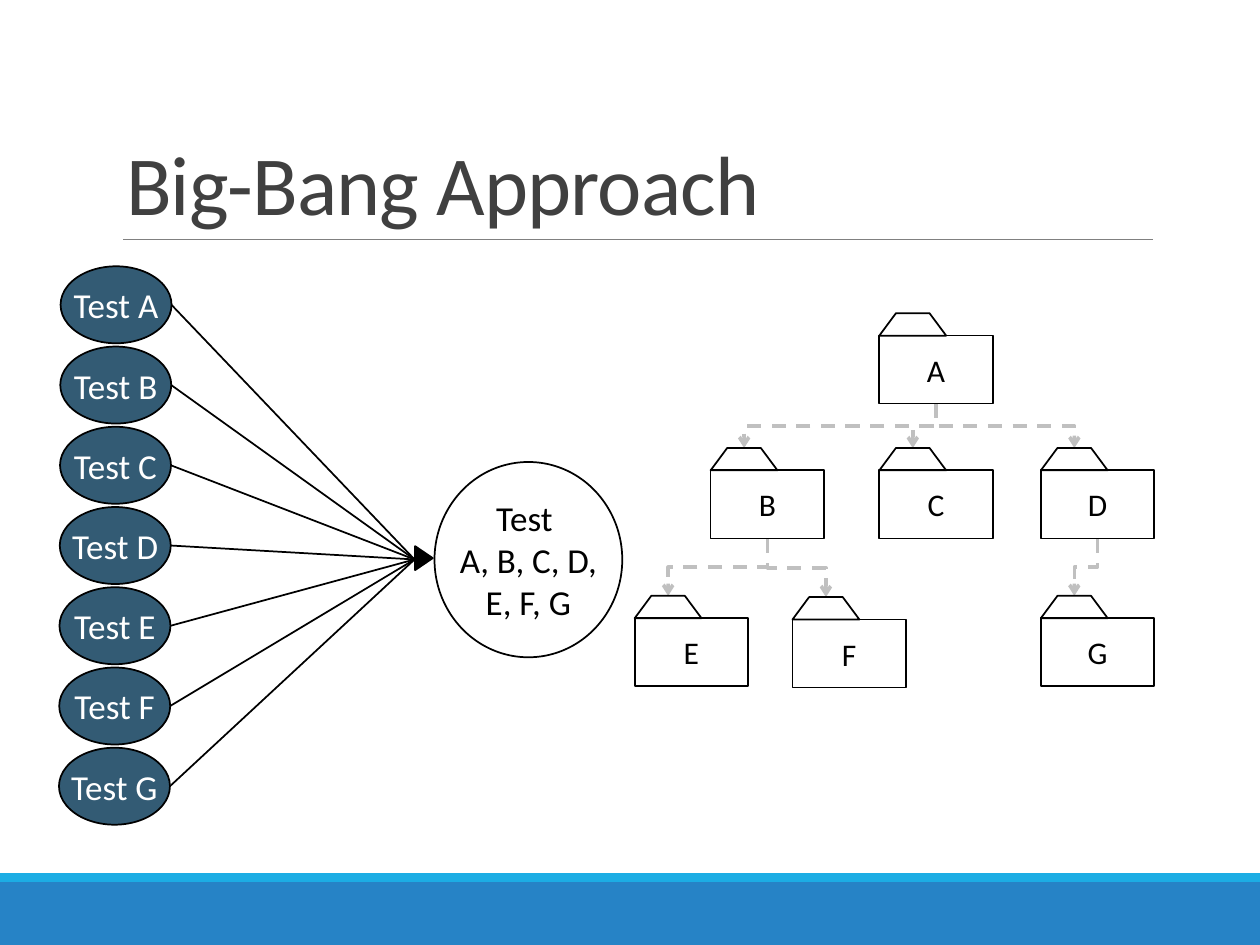
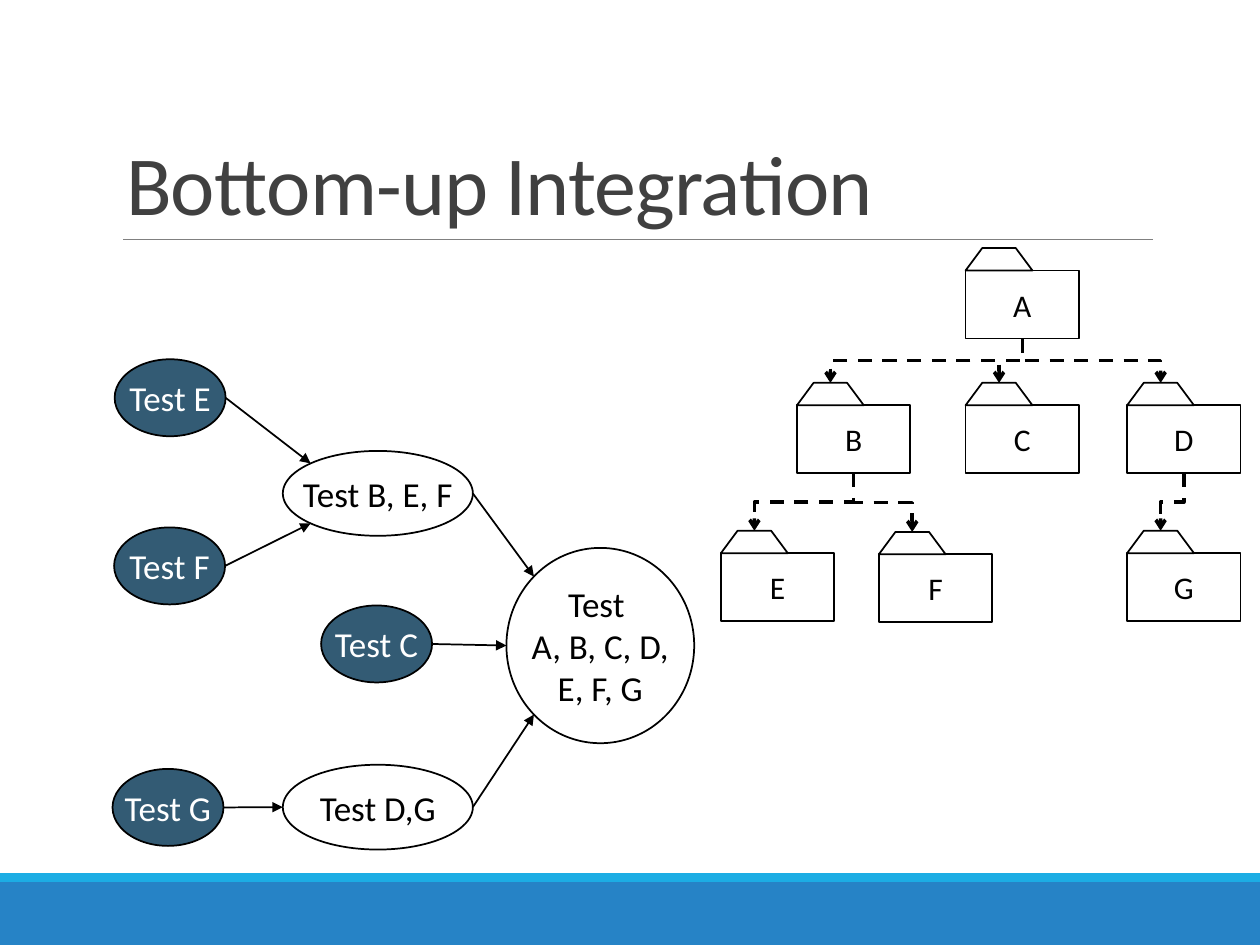
from math import cos, radians, sin

from pptx import Presentation
from pptx.dml.color import RGBColor
from pptx.enum import dml, shapes, text
from pptx.oxml.ns import qn
from pptx.util import Pt
from lxml import etree

FONT = "Calibri"
COLOURS = {
    "blue": "2683C6", "sky": "1CADE4", "rule": "808080", "title": "404040",
    "teal": "335B74", "black": "000000", "white": "FFFFFF", "silver": "C0C0C0",
}
TEST_SIZE = (63.4, 44)
GROUP_SIZE = (108.6, 48.5)
SYSTEM_SIZE = (107.3, 111.6)
SYSTEM_TEXT = "Test \nA, B, C, D,\nE, F, G"
BODY_WIDTH, BODY_HEIGHT = 64.8, 38.9
TAB_WIDTH, TAB_HEIGHT, TAB_SLOPE = 38.2, 12.8, 9.5
MODULES = {
    "A": (139.8, 0), "B": (43.4, 77), "C": (139.8, 77), "D": (232.1, 77),
    "E": (0, 161.5), "F": (90.2, 162.2), "G": (232.1, 161.5),
}
CALLS = ["AB", "BE", "BF", "DG", "AC", "AD"]


def colour(name):
    """Return the named colour."""
    return RGBColor.from_string(COLOURS[name])


def paint(shape, fill=None, line="black"):
    """Set the fill and outline of a shape and remove its shadow."""
    shape.shadow.inherit = False
    if fill:
        shape.fill.solid()
        shape.fill.fore_color.rgb = colour(fill)
    else:
        shape.fill.background()
    if line:
        shape.line.color.rgb = colour(line)
        shape.line.width = Pt(1)
    else:
        shape.line.fill.background()


def add_node(page, kind, box, words="", size=20, fill=None, ink="black", line="black"):
    """Add a preset shape with centred text."""
    node = page.shapes.add_shape(kind, *map(Pt, box))
    paint(node, fill, line)
    frame = node.text_frame
    frame.word_wrap = False
    frame.vertical_anchor = text.MSO_ANCHOR.MIDDLE
    frame.text = words
    for para in frame.paragraphs:
        para.alignment = text.PP_ALIGN.CENTER
        for span in para.runs:
            span.font.name = FONT
            span.font.size = Pt(size)
            span.font.color.rgb = colour(ink)
    return node


def add_oval(page, left, top, size, words, tested=False):
    """Add a test oval, dark when it tests a single module."""
    look = {"fill": "teal", "ink": "white"} if tested else {}
    return add_node(page, shapes.MSO_SHAPE.OVAL, (left, top, *size), words, **look)


def add_line(page, start, end, ink="black", width=1, head=None,
             kind=shapes.MSO_CONNECTOR.STRAIGHT):
    """Add a connector, with an arrowhead at its end if one is named."""
    line = page.shapes.add_connector(kind, *map(Pt, (*start, *end)))
    line.line.color.rgb = colour(ink)
    line.line.width = Pt(width)
    if head:
        etree.SubElement(line.line._get_or_add_ln(), qn("a:tailEnd"), type=head)
    etree.SubElement(line._element.spPr, qn("a:effectLst"))
    return line


def add_call(page, start, end, ink):
    """Add a dashed elbow arrow that leaves and arrives vertically."""
    line = add_line(page, start, end, ink, 2, "arrow", shapes.MSO_CONNECTOR.ELBOW)
    line.line.dash_style = dml.MSO_LINE.DASH
    run, drop = abs(end[0] - start[0]), end[1] - start[1]
    line.left = Pt((start[0] + end[0] - drop) / 2)
    line.top = Pt((start[1] + end[1] - run) / 2)
    line.width, line.height = Pt(drop), Pt(run)
    rightward = end[0] > start[0]
    place = line._element.spPr.find(qn("a:xfrm"))
    place.set("rot", str((270 if rightward else 90) * 60000))
    place.set("flipH", str(int(rightward)))


def rim(oval, degrees):
    """Return the point of an oval's rim at an angle, clockwise from the right."""
    angle = radians(degrees)
    return (oval.left.pt + oval.width.pt / 2 * (1 + cos(angle)),
            oval.top.pt + oval.height.pt / 2 * (1 + sin(angle)))


def add_module(page, left, top, name, fill):
    """Add a module drawn as a folder with a tab."""
    base = top + TAB_HEIGHT
    add_node(page, shapes.MSO_SHAPE.RECTANGLE, (left, base, BODY_WIDTH, BODY_HEIGHT),
             name, 18, fill)
    outline = page.shapes.build_freeform(Pt(left), Pt(base))
    outline.add_line_segments([
        (Pt(left + TAB_SLOPE), Pt(top)),
        (Pt(left + TAB_WIDTH - TAB_SLOPE), Pt(top)),
        (Pt(left + TAB_WIDTH), Pt(base)),
    ])
    paint(outline.convert_to_shape(), fill)


def add_module_tree(page, box, ink, fill=None):
    """Draw the module hierarchy from the top left corner of its box."""
    places = {name: (box[0] + x, box[1] + y) for name, (x, y) in MODULES.items()}
    for caller, called in CALLS:
        (left, top), (tab_left, tab_top) = places[caller], places[called]
        start = (left + BODY_WIDTH / 2, top + TAB_HEIGHT + BODY_HEIGHT)
        add_call(page, start, (tab_left + TAB_WIDTH / 2, tab_top), ink)
    for name, (left, top) in places.items():
        add_module(page, left, top, name, fill)


def add_big_bang(page, box):
    """Draw every module test leading straight to the system test."""
    left, top = box
    meeting = (left + 203.2, top + 167.5)
    for index, name in enumerate("ABCDEFG"):
        test = add_oval(page, left + 0.9 - 0.15 * index, top + 45.85 * index,
                        TEST_SIZE, f"Test {name}", tested=True)
        add_line(page, rim(test, 0), meeting)
    add_oval(page, left + 214.6, top + 111.8, SYSTEM_SIZE, SYSTEM_TEXT)
    arrow = add_node(page, shapes.MSO_SHAPE.ISOSCELES_TRIANGLE,
                     (left + 201.7, top + 161.7, 13.7, 10.1), fill="black")
    arrow.rotation = 90


def add_bottom_up(page, box):
    """Draw the tests joined step by step into the system test."""
    left, top = box
    plan = {
        "E": (1.5, 0.3, TEST_SIZE, "Test E", True),
        "F": (1.2, 96.4, TEST_SIZE, "Test F", True),
        "C": (119.5, 141, TEST_SIZE, "Test C", True),
        "G": (0.3, 234.4, TEST_SIZE, "Test G", True),
        "BEF": (97.6, 52.7, GROUP_SIZE, "Test B, E, F"),
        "DG": (97.6, 232, GROUP_SIZE, "Test D,G"),
        "system": (225.4, 108.1, SYSTEM_SIZE, SYSTEM_TEXT),
    }
    ovals = {name: add_oval(page, left + x, top + y, *rest)
             for name, (x, y, *rest) in plan.items()}
    for source, target, degrees in [
        ("E", "BEF", 225), ("F", "BEF", 135), ("G", "DG", 180),
        ("BEF", "system", 225), ("C", "system", 180), ("DG", "system", 135),
    ]:
        add_line(page, rim(ovals[source], 0), rim(ovals[target], degrees),
                 head="triangle")


def add_page(deck, heading):
    """Add a titled page with the footer bands and the title rule."""
    page = deck.slides.add_slide(deck.slide_layouts[5])
    for top, height, fill in [(504, 36, "blue"), (498.9, 5.1, "sky")]:
        add_node(page, shapes.MSO_SHAPE.RECTANGLE, (0, top, 720, height),
                 fill=fill, line=None)
    add_line(page, (70.5, 136.8), (658.8, 136.8), "rule", 0.5)
    title = page.shapes.title
    title.left, title.top, title.width, title.height = map(Pt, (64.8, 22.3, 594, 114.5))
    frame = title.text_frame
    frame.text = heading
    frame.word_wrap = True
    frame.auto_size = text.MSO_AUTO_SIZE.NONE
    frame.vertical_anchor = text.MSO_ANCHOR.BOTTOM
    para = frame.paragraphs[0]
    para.alignment = text.PP_ALIGN.LEFT
    para.line_spacing = 0.85
    font = para.runs[0].font
    font.name, font.size = FONT, Pt(48)
    font.color.rgb = colour("title")
    para.runs[0]._r.get_or_add_rPr().set("spc", "-50")
    return page


def main():
    """Build and save the deck."""
    deck = Presentation()
    deck.slide_width, deck.slide_height = Pt(720), Pt(540)

    page = add_page(deck, "Big-Bang Approach")
    add_module_tree(page, (362.7, 179), "silver")
    add_big_bang(page, (33.7, 152.2))

    page = add_page(deck, "Bottom-up Integration")
    add_module_tree(page, (412, 141.8), "black", "white")
    add_bottom_up(page, (64, 205))

    deck.save("out.pptx")


if __name__ == "__main__":
    main()
